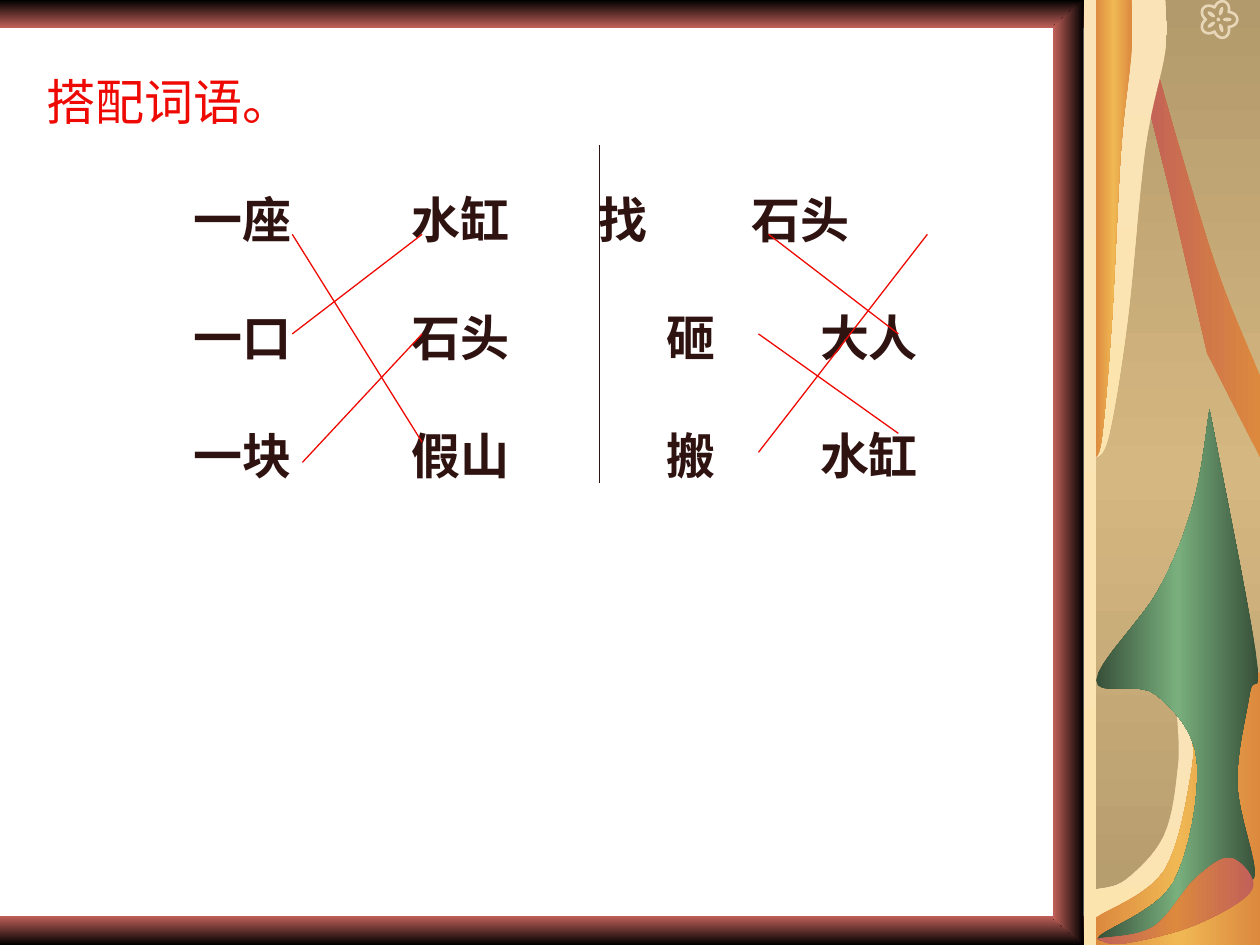
"""Build a word-matching exercise slide with a leafy border."""
from copy import deepcopy
from math import cos, pi, sin

from lxml import etree
from pptx import Presentation
from pptx.dml.color import RGBColor
from pptx.enum.shapes import MSO_CONNECTOR, MSO_SHAPE
from pptx.oxml.ns import qn
from pptx.util import Cm, Pt

RECT, OVAL = MSO_SHAPE.RECTANGLE, MSO_SHAPE.OVAL
LINE = MSO_CONNECTOR.STRAIGHT

THEME = {
    "font": "Comic Neue", "size": 28, "pitch": 67.4, "thin": 0.75, "bloom": 1.5,
    "red": "EF0903", "ink": "2F1311", "pale": "E7D6B7",
    "edge": ("C16059", "000000"), "dark": ("000000", "C16059"),
    "sand": ("B39A6C", "D5B781", "B39A6C"), "cream": ("FAE3B7", "FBE4AE"),
    "gold": ("DC893E", "F0B854", "DC893E"), "leaf": ("375039", "79AF7D", "375039"),
    "vine": ("DC893E", "C16059"), "bud": ("C16059", "DC893E", "C16059"),
}
DOWN, BACK = 270, 180

TITLE = "搭配词语。"
ROWS = [
    ("一座", "水缸", "找", "石头"),
    ("一口", "石头", "砸", "大人"),
    ("一块", "假山", "搬", "水缸"),
]
WIDE, NEAR = (1.17, 2.9, 4.92, 6.14), (1.17, 2.9, 4.38, 5.6)
LINKS = [
    ("ink", (4.76, 1.15, 4.76, 3.83)),
    ("red", (2.32, 1.86, 3.35, 3.51)), ("red", (2.32, 2.65, 3.35, 1.86)),
    ("red", (2.4, 3.67, 3.35, 2.65)), ("red", (6.1, 1.86, 7.13, 2.65)),
    ("red", (6.02, 2.65, 7.13, 3.44)), ("red", (6.02, 3.59, 7.36, 1.86)),
]
BARS = [
    ("edge", (0, 7.27, 8.84, 0.23)),
    ("dark", (0, 0, 8.84, 0.22)),
    ("sand", (8.7, 0, 1.3, 7.5)),
]
POST = ("cream", (8.6, 0, 0.1, 7.5))
DRAPE = [(8.69, 3.64), (8.8, 3.46), (8.95, 2.54), (9.09, 1.18), (9.25, 0.4), (9.25, 0)]
FOLD = [(8.69 + (x - 8.69) * 0.52, y) for x, y in DRAPE]
# Each plant has a fill, a smooth edge and straight corners.
PLANTS = [
    ("cream", [(9.34, 5.64), (9.35, 6.08), (9.24, 6.63), (8.94, 6.98), (8.7, 7.06)],
     [(8.7, 7.5), (10, 7.5), (10, 5.68)]),
    ("gold", [(8.7, 7.28), (9.24, 6.91), (9.46, 6.1), (9.44, 5.76)],
     [(9.87, 5.31), (10, 5.34), (10, 7.5), (8.7, 7.5)]),
    ("leaf", [(9.6, 3.25), (9.47, 4), (9.19, 4.69), (8.7, 5.4), (9.17, 5.51),
              (9.5, 6.04), (9.31, 7.01), (8.71, 7.45), (9.34, 7.34), (9.71, 6.9),
              (9.96, 6.95), (9.82, 6.22), (9.92, 5.5), (9.97, 5.2), (9.6, 3.25)], []),
    ("vine", [(9.14, 0.4), (9.38, 1.24), (9.68, 2.2), (10, 2.98)],
     [(10, 3.63), (9.58, 2.8), (9.28, 1.5), (9.05, 0.58)]),
    ("cream", DRAPE, [(8.69, 0)]),
    ("gold", FOLD, [(8.69, 0)]),
]
FRONT = [
    ("bud", [(8.7, 7.45), (9.15, 7.36), (9.49, 6.97), (9.77, 6.81), (9.94, 7.06),
             (9.49, 7.34), (8.91, 7.49), (8.7, 7.45)], []),
    ("dark", [], [(8.6, 0), (8.6, 7.5), (8.36, 7.29), (8.36, 0.21)]),
]
BLOOM = (9.67, 0.155)


def cm(inch):
    return Cm(inch * 2.54)


def tint(name):
    return RGBColor.from_string(THEME[name])


def paint(shape, name, angle=DOWN):
    shape.shadow.inherit = False
    shape.line.fill.background()
    fill, tones = shape.fill, THEME[name]
    if isinstance(tones, str):
        fill.solid()
        fill.fore_color.rgb = tint(name)
        return
    fill.gradient()
    fill.gradient_angle = angle
    if len(tones) == 3:
        stops = shape._element.spPr.find(".//" + qn("a:gsLst"))
        stops.insert(1, deepcopy(stops[0]))
    for i, (stop, tone) in enumerate(zip(fill.gradient_stops, tones)):
        stop.position = i / (len(tones) - 1)
        stop.color.rgb = RGBColor.from_string(tone)


def bend(pts, steps=8):
    out = pts[:1]
    ends = pts[:1] + pts + pts[-1:]
    for a, b, c, d in zip(ends, ends[1:], ends[2:], ends[3:]):
        for t in (n / steps for n in range(1, steps + 1)):
            out.append(tuple(
                q + t / 2 * (r - p + t * (2 * p - 5 * q + 4 * r - s + t * (3 * (q - r) + s - p)))
                for p, q, r, s in zip(a, b, c, d)))
    return out


def trace(shapes, pts):
    pts = [(cm(min(x, 10)), cm(y)) for x, y in pts]
    pen = shapes.build_freeform(*pts[0], scale=1.0)
    pen.add_line_segments(pts[1:], close=True)
    return pen.convert_to_shape()


def grow(shapes, plants):
    for name, curve, tail in plants:
        shape = trace(shapes, bend(curve) + tail)
        paint(shape, name, DOWN if name == "cream" else BACK)


def bar(shapes, name, box, kind=RECT):
    shape = shapes.add_shape(kind, *map(cm, box))
    paint(shape, name)
    return shape


def bloom(shapes):
    x, y = BLOOM
    ring = []
    for turn in (2 * pi * n / 100 for n in range(100)):
        r = 0.1 + 0.05 * abs(cos(2.5 * turn))
        ring.append((x + r * cos(turn), y + r * sin(turn)))
    rim = trace(shapes, ring)
    paint(rim, "pale")
    rim.fill.background()
    rim.line.color.rgb = tint("pale")
    rim.line.width = Pt(THEME["bloom"])
    dots = [(0, 0, 0.03)]
    for n in range(5):
        turn = 2 * pi * n / 5
        dots.append((0.07 * cos(turn), 0.07 * sin(turn), 0.07))
    for n, (dx, dy, wide) in enumerate(dots):
        box = (x + dx - wide / 2, y + dy - 0.015, wide, 0.03)
        bar(shapes, "pale", box, OVAL).rotation = 72 * (n - 1)


def say(para, text, name, bold=False):
    run = para.add_run()
    run.text = text
    font = run.font
    font.name, font.size, font.bold = THEME["font"], Pt(THEME["size"]), bold
    font.color.rgb = tint(name)


def words(shapes):
    frame = shapes.add_textbox(*map(cm, (0.27, 0.52, 8.43, 3.37))).text_frame
    frame.word_wrap = True
    say(frame.paragraphs[0], TITLE, "red")
    for row, stops in zip(ROWS, (NEAR, WIDE, WIDE)):
        para = frame.add_paragraph()
        para.line_spacing = Pt(THEME["pitch"])
        tabs = etree.SubElement(para._p.get_or_add_pPr(), qn("a:tabLst"))
        for word, left in zip(row, stops):
            etree.SubElement(tabs, qn("a:tab"), pos=str(cm(left)), algn="l")
            say(para, "\t" + word, "ink", True)


def main():
    deck = Presentation()
    deck.slide_width, deck.slide_height = Cm(25.4), Cm(19.05)
    shapes = deck.slides.add_slide(deck.slide_layouts[6]).shapes
    for name, box in BARS:
        bar(shapes, name, box)
    bloom(shapes)
    grow(shapes, PLANTS)
    bar(shapes, *POST)
    grow(shapes, FRONT)
    words(shapes)
    for name, ends in LINKS:
        link = shapes.add_connector(LINE, *map(cm, ends))
        link.line.color.rgb, link.line.width = tint(name), Pt(THEME["thin"])
        etree.SubElement(link._element.spPr, qn("a:effectLst"))
    deck.save("out.pptx")


if __name__ == "__main__":
    main()
